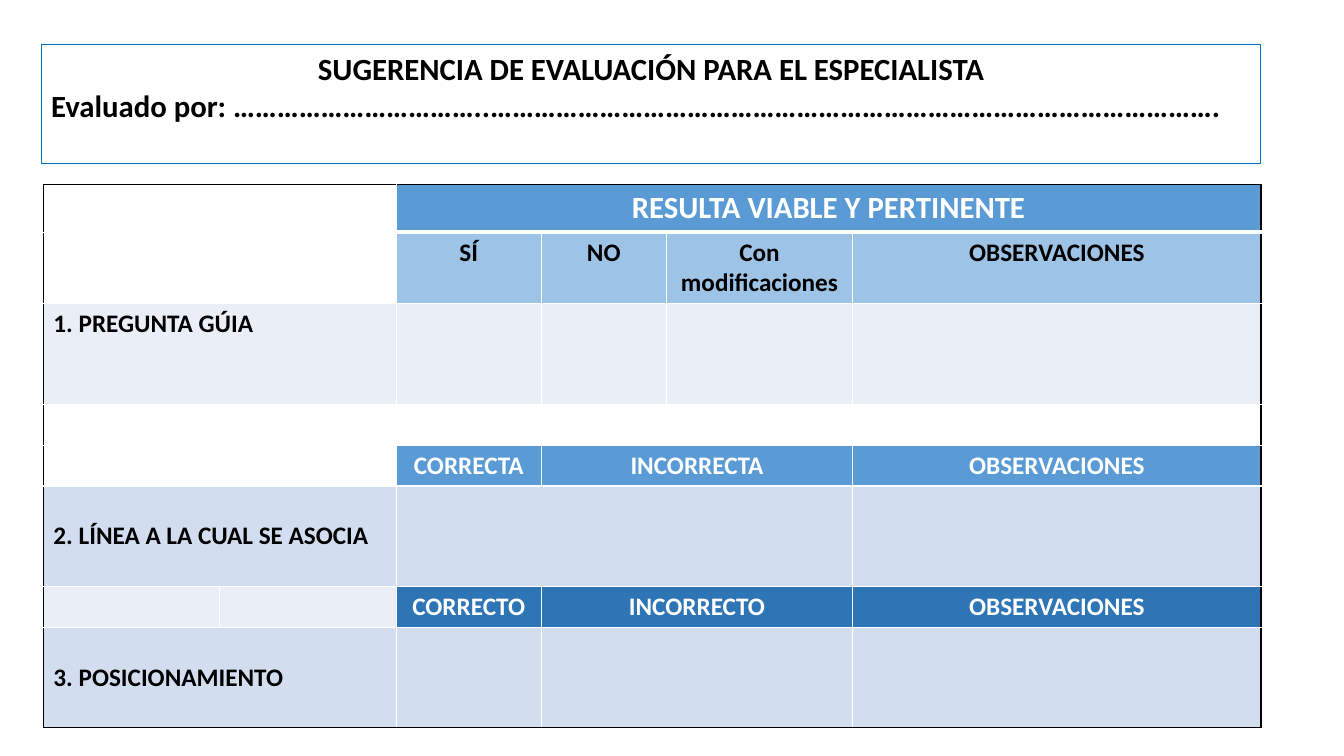
"""Builds the specialist's evaluation form slide."""
from pptx import Presentation
from pptx.dml.color import RGBColor as RGB
from pptx.enum.shapes import MSO_SHAPE as SHAPE
from pptx.enum.text import MSO_ANCHOR as ANCHOR, PP_ALIGN as ALIGN
from pptx.oxml.ns import qn
from pptx.util import Pt
from lxml.etree import SubElement

COLORS = {"black": "000000", "white": "FFFFFF", "outline": "0070C0", "blue": "5B9BD5",
          "sky": "9DC3E6", "deep": "2E75B6", "pale": "EAEFF7", "mist": "D2DEEF"}
COLS = [126, 126, 103.7, 89.3, 133.2, 291.6]
ROWS = [33.5, 50.6, 71.8, 29.2, 29.2, 71.8, 29.2, 71.8]
LABEL = {"align": ALIGN.LEFT, "color": "black"}
LOW_LABEL = {**LABEL, "anchor": ANCHOR.MIDDLE}
HEAD = {"color": "white"}
SUBHEAD = {"color": "black"}
FORM = [
    [(2, "", "white", {}), (4, "RESULTA VIABLE Y PERTINENTE", "blue", {**HEAD, "size": 22})],
    [(2, "", "white", {})] + [(1, t, "sky", SUBHEAD)
                              for t in ("SÍ", "NO", "Con modificaciones", "OBSERVACIONES")],
    [(2, "1. PREGUNTA GÚIA", "pale", LABEL)] + [(1, "", "pale", {})] * 4,
    [(6, "", "white", {})],
    [(2, "", "white", {}), (1, "CORRECTA", "blue", HEAD),
     (2, "INCORRECTA", "blue", HEAD), (1, "OBSERVACIONES", "blue", HEAD)],
    [(2, "2. LÍNEA A LA CUAL SE ASOCIA", "mist", LOW_LABEL),
     (3, "", "mist", {}), (1, "", "mist", {})],
    [(1, "", "pale", {}), (1, "", "pale", {}), (1, "CORRECTO", "deep", HEAD),
     (2, "INCORRECTO", "deep", HEAD), (1, "OBSERVACIONES", "deep", HEAD)],
    [(2, "3. POSICIONAMIENTO", "mist", LOW_LABEL),
     (1, "", "mist", {}), (2, "", "mist", {}), (1, "", "mist", {})],
]


def rgb(name):
    return RGB.from_string(COLORS[name])


def write(p, text, size=18, color="black", align=ALIGN.CENTER):
    p.alignment = align
    r = p.add_run()
    r.text = text
    r.font.name, r.font.size, r.font.bold = "Calibri", Pt(size), True
    r.font.color.rgb = rgb(color)


def add_border(cell, side, color, width):
    ln = SubElement(cell._tc.get_or_add_tcPr(), qn(f"a:ln{side}"), w=str(Pt(width)))
    fill = SubElement(ln, qn("a:solidFill"))
    SubElement(fill, qn("a:srgbClr"), val=COLORS[color])


def add_header(s, x, y, w, h):
    sp = s.shapes.add_shape(SHAPE.RECTANGLE, Pt(x), Pt(y), Pt(w), Pt(h))
    sp.shadow.inherit = False
    sp.fill.background()
    sp.line.color.rgb, sp.line.width = rgb("outline"), Pt(0.75)
    tf = sp.text_frame
    tf.word_wrap, tf.vertical_anchor = True, ANCHOR.TOP
    write(tf.paragraphs[0], "SUGERENCIA DE EVALUACIÓN PARA EL ESPECIALISTA", size=22)
    dots = "…" * 11 + ".." + "…" * 33 + "."
    write(tf.add_paragraph(), f"Evaluado por: {dots}", size=22, align=ALIGN.LEFT)


def style_cell(cell, row, first, last, fill):
    bottom = len(ROWS) - 1
    edges = {"L": first == 0, "R": last == len(COLS) - 1, "T": row == 0, "B": row == bottom}
    for side, outer in edges.items():
        heavy = first > 1 and (row, side) in ((0, "B"), (1, "T"))
        add_border(cell, side, "black" if outer else "white", 3 if heavy else 1)
    cell.fill.solid()
    cell.fill.fore_color.rgb = rgb(fill)


def add_form(s, x, y, w, h):
    table = s.shapes.add_table(len(ROWS), len(COLS), Pt(x), Pt(y), Pt(w), Pt(h)).table
    table.first_row = table.horz_banding = False
    for col, width in zip(table.columns, COLS):
        col.width = Pt(width * w / sum(COLS))
    for row, height in zip(table.rows, ROWS):
        row.height = Pt(height * h / sum(ROWS))
    for i, cells in enumerate(FORM):
        first = 0
        for span, text, fill, style in cells:
            last = first + span - 1
            for j in range(first, last + 1):
                style_cell(table.cell(i, j), i, first, last, fill)
            cell = table.cell(i, first)
            if span > 1:
                cell.merge(table.cell(i, last))
            style = dict(style)
            cell.vertical_anchor = style.pop("anchor", ANCHOR.TOP)
            if text:
                write(cell.text_frame.paragraphs[0], text, **style)
            first = last + 1


def main():
    prs = Presentation()
    prs.slide_width, prs.slide_height = Pt(960), Pt(540)
    s = prs.slides.add_slide(prs.slide_layouts[6])
    add_header(s, 29.5, 31.7, 871.2, 85)
    add_form(s, 31, 131.8, 869.8, sum(ROWS))
    prs.save("out.pptx")


main()
